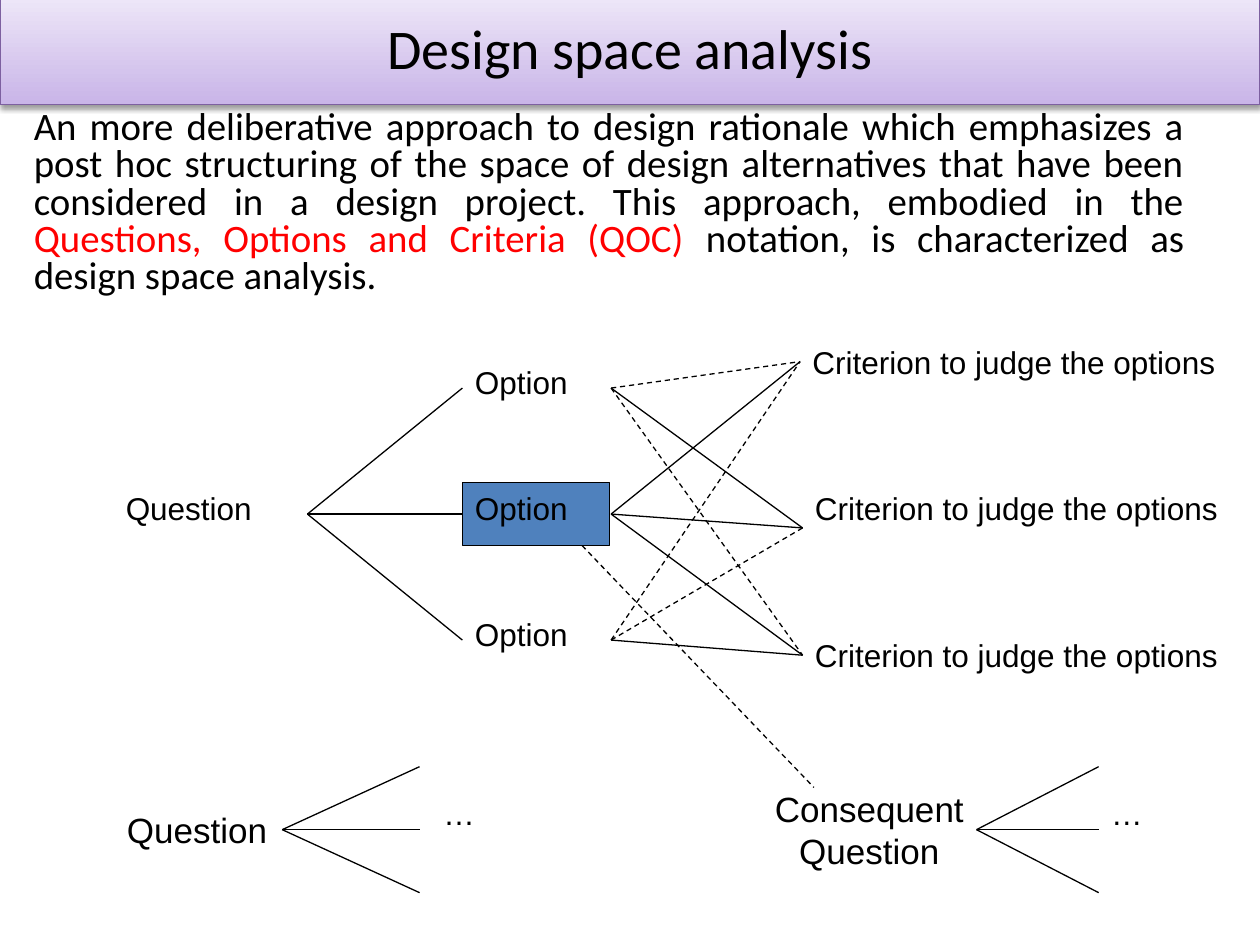
import pptx
import pptx.util
import pptx.dml.color
import pptx.enum.dml
import pptx.enum.shapes
import pptx.enum.text
import pptx.oxml
from lxml import etree

INK = {"text": "000000", "key": "FF0000", "box": "4F81BD", "edge": "7D60A0",
       "low": "C9B5E8", "high": "F0EAF9"}
ALIGN = pptx.enum.text.PP_ALIGN
RECT = pptx.enum.shapes.MSO_SHAPE.RECTANGLE
NS = "http://schemas.openxmlformats.org/drawingml/2006/main"

deck = pptx.Presentation()
deck.slide_width, deck.slide_height = pptx.util.Inches(10), pptx.util.Inches(7.5)
page = deck.slides.add_slide(deck.slide_layouts[6])


def color(name):
    return pptx.dml.color.RGBColor.from_string(INK[name])


def inch(*vals):
    return [pptx.util.Inches(v) for v in vals]


def write(shape, runs, size=18, font="Arial", align=ALIGN.LEFT, wrap=False,
          anchor="TOP", space=None):
    """Fill a shape with (text, colour) runs; a newline breaks the line."""
    frame = shape.text_frame
    frame.word_wrap = wrap
    frame.vertical_anchor = getattr(pptx.enum.text.MSO_ANCHOR, anchor)
    if not wrap:
        frame.auto_size = pptx.enum.text.MSO_AUTO_SIZE.SHAPE_TO_FIT_TEXT
    para = frame.paragraphs[0]
    para.alignment = align
    if space:
        para.line_spacing = space
    for text, ink in runs:
        for i, part in enumerate(text.split("\n")):
            if i:
                para.add_line_break()
            run = para.add_run()
            run.text = part
            run.font.size = pptx.util.Pt(size)
            run.font.name = font
            run.font.color.rgb = color(ink)


def label(text, box, **form):
    write(page.shapes.add_textbox(*inch(*box)), [(text, "text")], **form)


def line(start, end, dash=False):
    link = page.shapes.add_connector(
        pptx.enum.shapes.MSO_CONNECTOR.STRAIGHT, *inch(*start, *end))
    link.line.color.rgb = color("text")
    link.line.width = pptx.util.Pt(0.75)
    if dash:
        link.line.dash_style = pptx.enum.dml.MSO_LINE.DASH
    etree.SubElement(link._element.spPr, f"{{{NS}}}effectLst")


def rect(box, edge):
    shape = page.shapes.add_shape(RECT, *inch(*box))
    shape.shadow.inherit = False
    shape.line.color.rgb = color(edge)
    shape.line.width = pptx.util.Pt(0.75)
    return shape


def fan(x, y, wide, rise):
    """Three lines spreading from one point."""
    for step in (-1, 0, 1):
        line((x, y), (x + wide, y + step * rise))


def banner(box):
    bar = rect(box, "edge")
    bar.fill.gradient()
    bar.fill.gradient_angle = 90
    for stop, name in zip(bar.fill.gradient_stops, ("low", "high")):
        stop.color.rgb = color(name)
    glow = pptx.oxml.parse_xml(
        f'<a:outerShdw xmlns:a="{NS}" blurRad="39370" dist="20320" dir="5400000" '
        'rotWithShape="0"><a:srgbClr val="000000"><a:alpha val="38000"/>'
        '</a:srgbClr></a:outerShdw>')
    bar._element.spPr.find(f"{{{NS}}}effectLst").append(glow)
    write(bar, [("Design space analysis", "text")], size=32, font="Calibri",
          align=ALIGN.CENTER, wrap=True, anchor="MIDDLE")


def intro(box):
    write(page.shapes.add_textbox(*inch(*box)), [
        ("An more deliberative approach to design rationale which emphasizes a "
         "post hoc structuring of the space of design alternatives that have "
         "been considered in a design project. This approach, embodied in the ",
         "text"),
        ("Questions, Options and Criteria (QOC) ", "key"),
        ("notation, is characterized as design space analysis.", "text"),
    ], size=22.2, font="Calibri", align=ALIGN.JUSTIFY, wrap=True, space=0.8)


def tree(x, y):
    """Question, its options, and the criteria each option is judged by."""
    left, right = x + 2.77, x + 3.95
    pick = rect((left, y + 1, 1.17, 0.5), "text")
    pick.fill.solid()
    pick.fill.fore_color.rgb = color("box")
    label("Question", (x, y + 1, 1.54, 0.5))
    for row in range(3):
        label("Option", (left, y + row, 1.18, 0.5))
    ends = [(x + 5.45, y + 0.04), (x + 5.47, y + 1.36), (x + 5.47, y + 2.37)]
    tops = (-0.16, 1, 2.17)
    for (end, _), top in zip(ends, tops):
        label("Criterion to judge the options", (end, y + top, 3.43, 0.4))
    fan(x + 1.54, y + 1.25, 1.23, 1)
    # Solid links favour an option, dashed links count against it
    solid = {(0, 1), (1, 0), (1, 1), (1, 2), (2, 2)}
    for row in range(3):
        for col, end in enumerate(ends):
            line((right, y + row + 0.25), end, dash=(row, col) not in solid)
    line((x + 3.72, y + 1.5), (x + 5.56, y + 3.42), dash=True)


def branch(text, box, wide, dots, align=ALIGN.LEFT):
    """A further question that fans out to options left open."""
    x, y, w, h = box
    label(text, box, size=20, align=align)
    fan(x + w, y + h / 2, wide, 0.5)
    label("…", (dots, y + h / 2 - 0.33, 0.53, 0.5))


banner((0, -0.08, 10, 0.91))
intro((0.17, 0.83, 9.33, 1.75))
tree(0.9, 2.83)
branch("Question", (0.91, 6.37, 1.33, 0.43), 1.09, 3.42)
branch("Consequent\nQuestion", (6.05, 6.2, 1.7, 0.77), 0.97, 8.72,
       align=ALIGN.CENTER)

deck.save("out.pptx")
